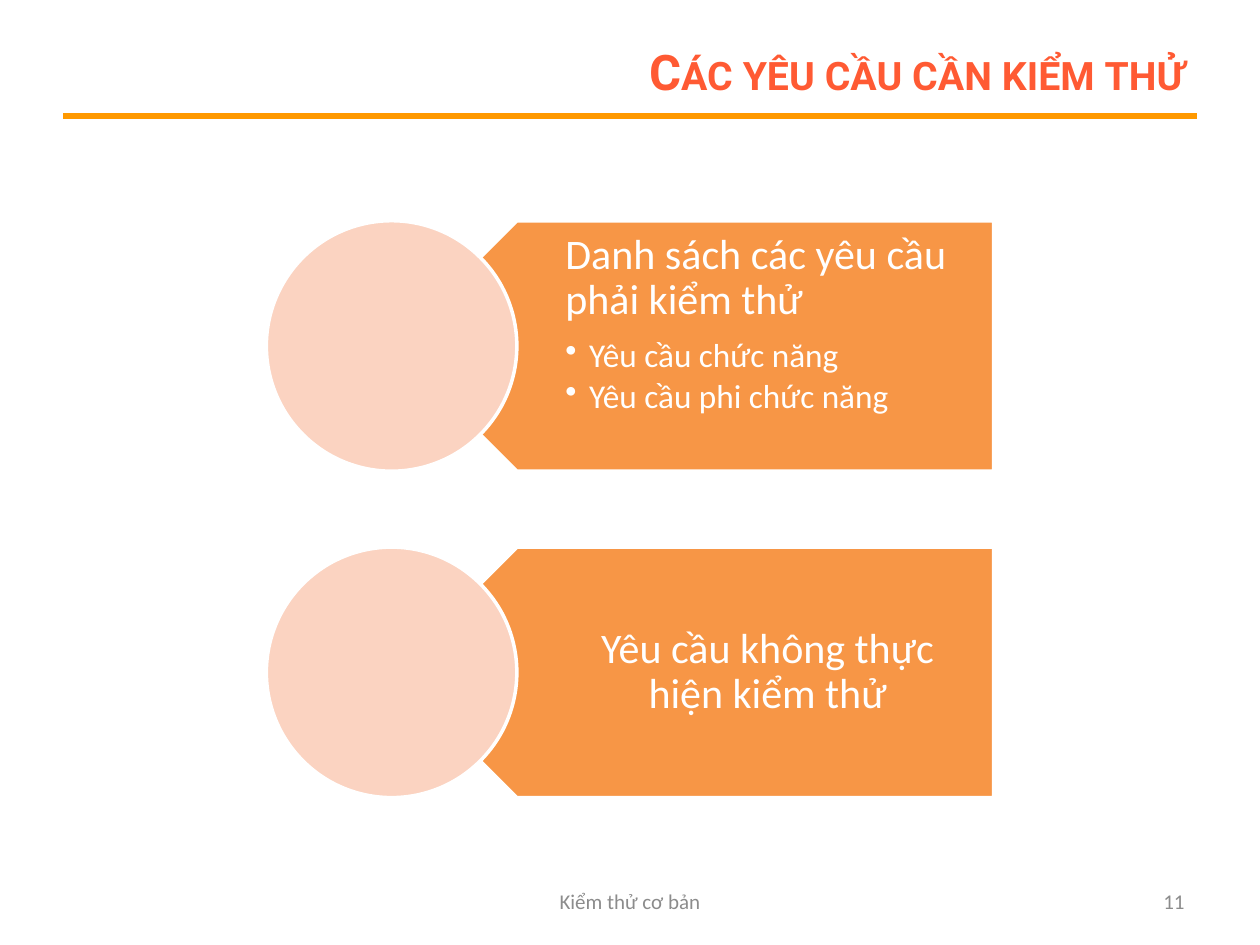
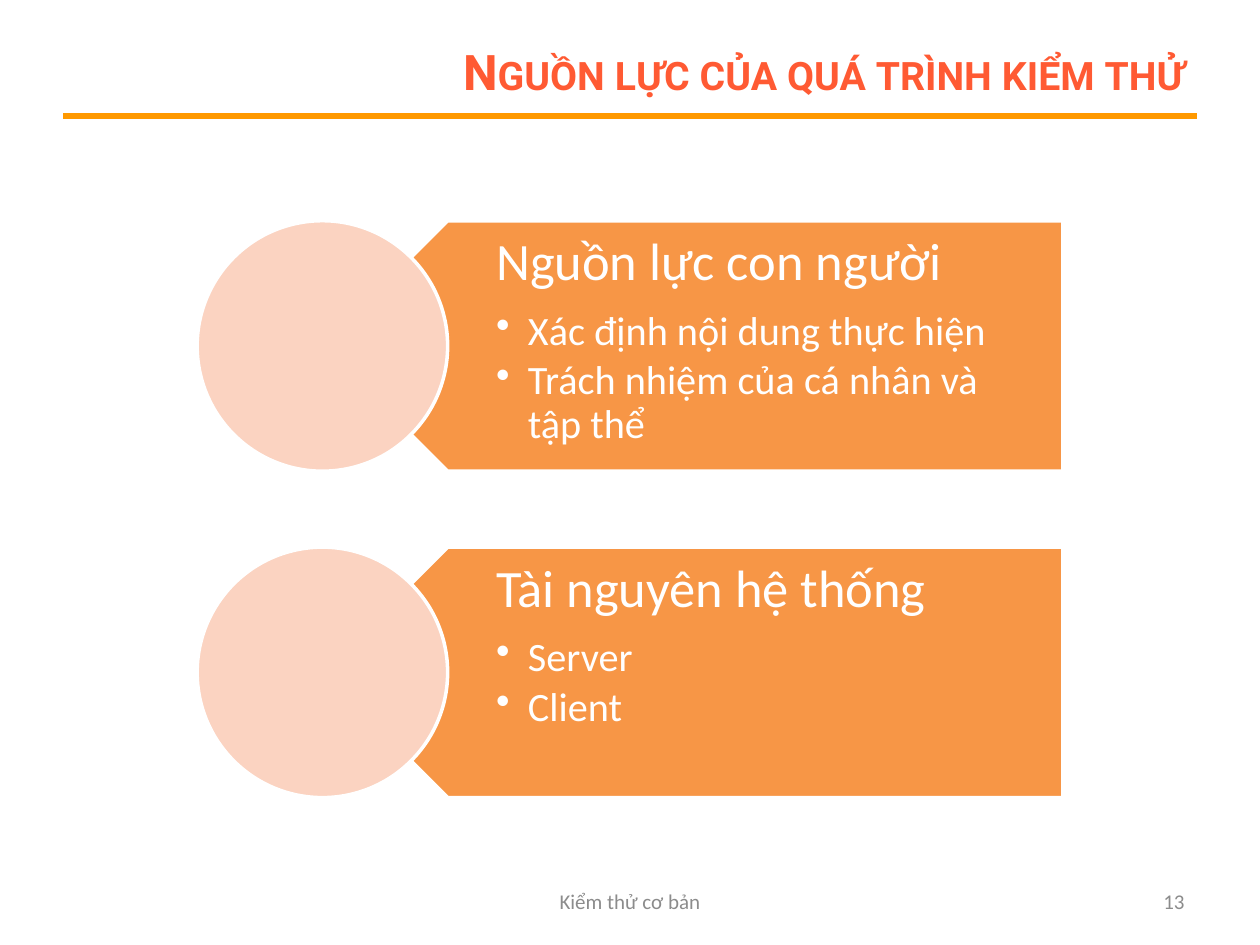
from dataclasses import dataclass

from lxml.etree import SubElement
from pptx import Presentation
from pptx.dml.color import RGBColor
from pptx.enum.shapes import MSO_CONNECTOR, MSO_SHAPE
from pptx.enum.text import MSO_ANCHOR, PP_ALIGN
from pptx.oxml.ns import qn
from pptx.shapes.autoshape import Shape
from pptx.slide import Slide
from pptx.util import Cm, Length, Pt

WHITE = RGBColor(0xFF, 0xFF, 0xFF)
ORANGE = RGBColor(0xF7, 0x96, 0x46)
PEACH = RGBColor(0xFB, 0xD3, 0xC1)
TITLE_RED = RGBColor(0xFF, 0x5A, 0x33)
RULE_AMBER = RGBColor(0xFF, 0x99, 0x00)
FOOTER_GRAY = RGBColor(0x8C, 0x8C, 0x8C)

BODY_FONT = "Calibri"
TITLE_FONT = "Roboto"
FOOTER_TEXT = "Kiểm thử cơ bản"

SLIDE_WIDTH = Cm(25.4)
SLIDE_HEIGHT = Cm(19.05)
MARGIN = Cm(1.27)
RULE_TOP = Cm(2.34)
FOOTER_TOP = Cm(17.66)
FOOTER_HEIGHT = Cm(1.01)
CIRCLE = Cm(5.05)
FIRST_BAND_TOP = Cm(4.45)
BAND_STEP = Cm(6.58)
TEXT_INSET = Cm(2.24)


@dataclass(frozen=True)
class Band:
    heading: str
    bullets: tuple[str, ...] = ()


@dataclass(frozen=True)
class BandStyle:
    total_width: Length
    heading_size: int
    bullet_size: int
    bullet_indent: Length
    side_inset: Length
    end_inset: Length


@dataclass(frozen=True)
class BandSlide:
    title: str
    number: int
    style: BandStyle
    bands: tuple[Band, ...]


NARROW = BandStyle(Cm(14.66), 24, 19, Cm(0.48), Cm(0.48), Cm(0.25))
WIDE = BandStyle(Cm(17.45), 30, 23, Cm(0.64), Cm(0.58), Cm(0.3))

SLIDES = (
    BandSlide("Các yêu cầu cần kiểm thử", 11, NARROW, (
        Band("Danh sách các yêu cầu phải kiểm thử",
             ("Yêu cầu chức năng", "Yêu cầu phi chức năng")),
        Band("Yêu cầu không thực hiện kiểm thử"),
    )),
    BandSlide("Nguồn lực của quá trình kiểm thử", 13, WIDE, (
        Band("Nguồn lực con người",
             ("Xác định nội dung thực hiện", "Trách nhiệm của cá nhân và tập thể")),
        Band("Tài nguyên hệ thống", ("Server", "Client")),
    )),
)


def add_text(page: Slide, left: int, top: int, width: int, height: int, text: str,
             size: int, color: RGBColor, align: PP_ALIGN, font: str = BODY_FONT) -> Shape:
    box = page.shapes.add_textbox(left, top, width, height)
    frame = box.text_frame
    frame.word_wrap = True
    frame.vertical_anchor = MSO_ANCHOR.MIDDLE
    frame.text = text
    for para in frame.paragraphs:
        para.alignment = align
        for span in para.runs:
            span.font.name = font
            span.font.size = Pt(size)
            span.font.color.rgb = color
    return box


def add_solid(page: Slide, kind: MSO_SHAPE, left: int, top: int, width: int,
              fill: RGBColor) -> Shape:
    shape = page.shapes.add_shape(kind, left, top, width, CIRCLE)
    shape.shadow.inherit = False
    shape.fill.solid()
    shape.fill.fore_color.rgb = fill
    shape.line.color.rgb = WHITE
    shape.line.width = Pt(2)
    return shape


def add_frame(page: Slide, title: str, number: int) -> None:
    right = SLIDE_WIDTH - MARGIN
    rule = page.shapes.add_connector(MSO_CONNECTOR.STRAIGHT, MARGIN, RULE_TOP, right, RULE_TOP)
    rule.line.color.rgb = RULE_AMBER
    rule.line.width = Pt(3)
    SubElement(rule.line._get_or_add_ln().getparent(), qn("a:effectLst"))

    title_width = Cm(18.42)
    box = add_text(page, right - title_width, Cm(0.76), title_width, Cm(1.35), title,
                   28, TITLE_RED, PP_ALIGN.RIGHT, TITLE_FONT)
    font = box.text_frame.paragraphs[0].runs[0].font
    font.bold = True
    font._element.set("cap", "small")

    footer_width = Cm(8.05)
    add_text(page, (SLIDE_WIDTH - footer_width) // 2, FOOTER_TOP, footer_width, FOOTER_HEIGHT,
             FOOTER_TEXT, 12, FOOTER_GRAY, PP_ALIGN.CENTER)
    number_width = Cm(5.93)
    add_text(page, right - number_width, FOOTER_TOP, number_width, FOOTER_HEIGHT,
             str(number), 12, FOOTER_GRAY, PP_ALIGN.RIGHT)


def add_band(page: Slide, band: Band, style: BandStyle, top: int) -> None:
    left = (SLIDE_WIDTH - style.total_width) // 2
    right = left + style.total_width
    arrow_left = left + CIRCLE // 2
    arrow = add_solid(page, MSO_SHAPE.PENTAGON, arrow_left, top, right - arrow_left, ORANGE)
    arrow.rotation = 180

    text_left = arrow_left + CIRCLE // 4
    box = add_text(page, text_left, top, right - text_left, CIRCLE,
                   "\n".join((band.heading, *band.bullets)), style.heading_size, WHITE,
                   PP_ALIGN.LEFT if band.bullets else PP_ALIGN.CENTER)
    frame = box.text_frame
    frame.margin_left = TEXT_INSET
    frame.margin_right = style.side_inset
    frame.margin_top = frame.margin_bottom = style.end_inset
    if band.bullets:
        frame.vertical_anchor = MSO_ANCHOR.TOP
    heading, *bullets = frame.paragraphs
    heading.line_spacing = 0.9
    heading.space_after = Pt(0.35 * style.heading_size)
    for para in bullets:
        para.level = 1
        para.line_spacing = 0.9
        para.space_after = Pt(0.15 * style.bullet_size)
        para.runs[0].font.size = Pt(style.bullet_size)
        properties = para._p.get_or_add_pPr()
        properties.set("marL", str(style.bullet_indent))
        properties.set("indent", str(-style.bullet_indent))
        SubElement(properties, qn("a:buChar"), char="•")

    add_solid(page, MSO_SHAPE.OVAL, left, top, CIRCLE, PEACH)


def main() -> None:
    deck = Presentation()
    deck.slide_width = SLIDE_WIDTH
    deck.slide_height = SLIDE_HEIGHT
    for content in SLIDES:
        page = deck.slides.add_slide(deck.slide_layouts[6])
        add_frame(page, content.title, content.number)
        for row, band in enumerate(content.bands):
            add_band(page, band, content.style, FIRST_BAND_TOP + row * BAND_STEP)
    deck.save("out.pptx")


if __name__ == "__main__":
    main()
